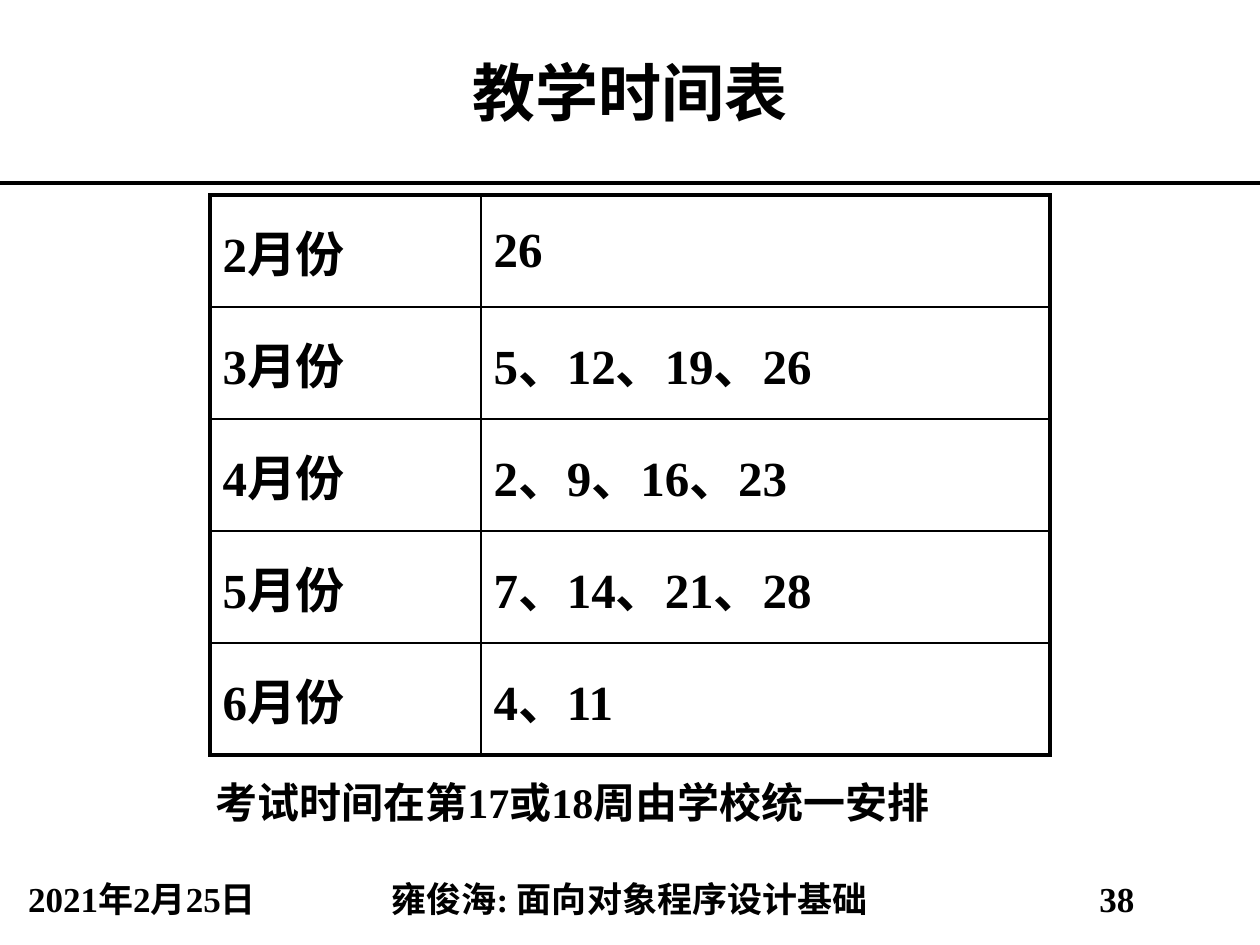
from dataclasses import dataclass
from lxml.etree import SubElement as Sub
from pptx import Presentation
from pptx.dml.color import RGBColor as RGB
from pptx.enum.shapes import MSO_CONNECTOR as Conn
from pptx.enum.text import MSO_ANCHOR as Anchor, PP_ALIGN as Align
from pptx.oxml import parse_xml
from pptx.oxml.ns import nsdecls, qn
from pptx.util import Emu, Pt

SCALE = 914400 / 126


@dataclass(frozen=True)
class Theme:
    ink: str = "000000"
    font: str = "Times New Roman"
    title: int = 36
    cell: int = 28
    note: int = 24
    foot: int = 20
    thick: float = 2.25
    thin: float = 1


THEME = Theme()
ROWS = [
    ("2月份", "26"),
    ("3月份", "5、12、19、26"),
    ("4月份", "2、9、16、23"),
    ("5月份", "7、14、21、28"),
    ("6月份", "4、11"),
]
FOOT = [
    (0, 284, "2021年2月25日"),
    (284, 691, "雍俊海: 面向对象程序设计基础"),
    (975, 284, "38"),
]


def px(num):
    return Emu(round(num * SCALE))


def write(frame, text, size, align=Align.LEFT, anchor=Anchor.MIDDLE):
    frame.text = text
    frame.word_wrap = True
    frame.vertical_anchor = anchor
    para = frame.paragraphs[0]
    para.alignment = align
    font = para.runs[0].font
    font.name = THEME.font
    font.size = Pt(size)
    font.bold = True
    font.color.rgb = RGB.from_string(THEME.ink)
    return para


def add_title(slide, text):
    title = slide.shapes.title
    title.left, title.top, title.width, title.height = map(px, (0, 0, 1260, 183))
    write(title.text_frame, text, THEME.title, Align.CENTER)


def add_text(slide, box, text, size, align, anchor):
    shape = slide.shapes.add_textbox(*map(px, box))
    return write(shape.text_frame, text, size, align, anchor)


def add_rule(slide, y):
    line = slide.shapes.add_connector(Conn.STRAIGHT, 0, px(y), px(1260), px(y))
    line.line.color.rgb = RGB.from_string(THEME.ink)
    line.line.width = Pt(THEME.thick)
    Sub(line._element.spPr, qn("a:effectLst"))


def set_edges(cell, outer):
    props = cell._tc.get_or_add_tcPr()
    for pos, side in enumerate("LRTB"):
        width = Pt(THEME.thick if side in outer else THEME.thin)
        props.insert(pos, parse_xml(
            f'<a:ln{side} {nsdecls("a")} w="{width}"><a:solidFill>'
            f'<a:srgbClr val="{THEME.ink}"/></a:solidFill></a:ln{side}>'))


def add_grid(slide, rows, left, top, widths, high):
    shape = slide.shapes.add_table(
        len(rows), len(widths), px(left), px(top),
        px(sum(widths)), px(high * len(rows)))
    table = shape.table
    table.first_row = table.horz_banding = False
    for col, wide in zip(table.columns, widths):
        col.width = px(wide)
    for r, texts in enumerate(rows):
        table.rows[r].height = px(high)
        for c, text in enumerate(texts):
            cell = table.cell(r, c)
            write(cell.text_frame, text, THEME.cell)
            cell.vertical_anchor = Anchor.MIDDLE
            cell.fill.background()
            tests = (c == 0, c == len(widths) - 1, r == 0, r == len(rows) - 1)
            set_edges(cell, [s for s, hit in zip("LRTB", tests) if hit])


def main():
    deck = Presentation()
    deck.slide_width, deck.slide_height = px(1260), px(945)
    slide = deck.slides.add_slide(deck.slide_layouts[5])
    add_title(slide, "教学时间表")
    add_rule(slide, 183)
    for left, wide, text in FOOT:
        para = add_text(slide, (left, 876, wide, 50), text, THEME.foot,
                        Align.CENTER, Anchor.MIDDLE)
        para.line_spacing = 0.9
    add_grid(slide, ROWS, 210, 195, (271, 569), 112)
    add_text(slide, (203, 770, 873, 63), "考试时间在第17或18周由学校统一安排",
             THEME.note, Align.LEFT, Anchor.TOP)
    deck.save("out.pptx")


if __name__ == "__main__":
    main()
